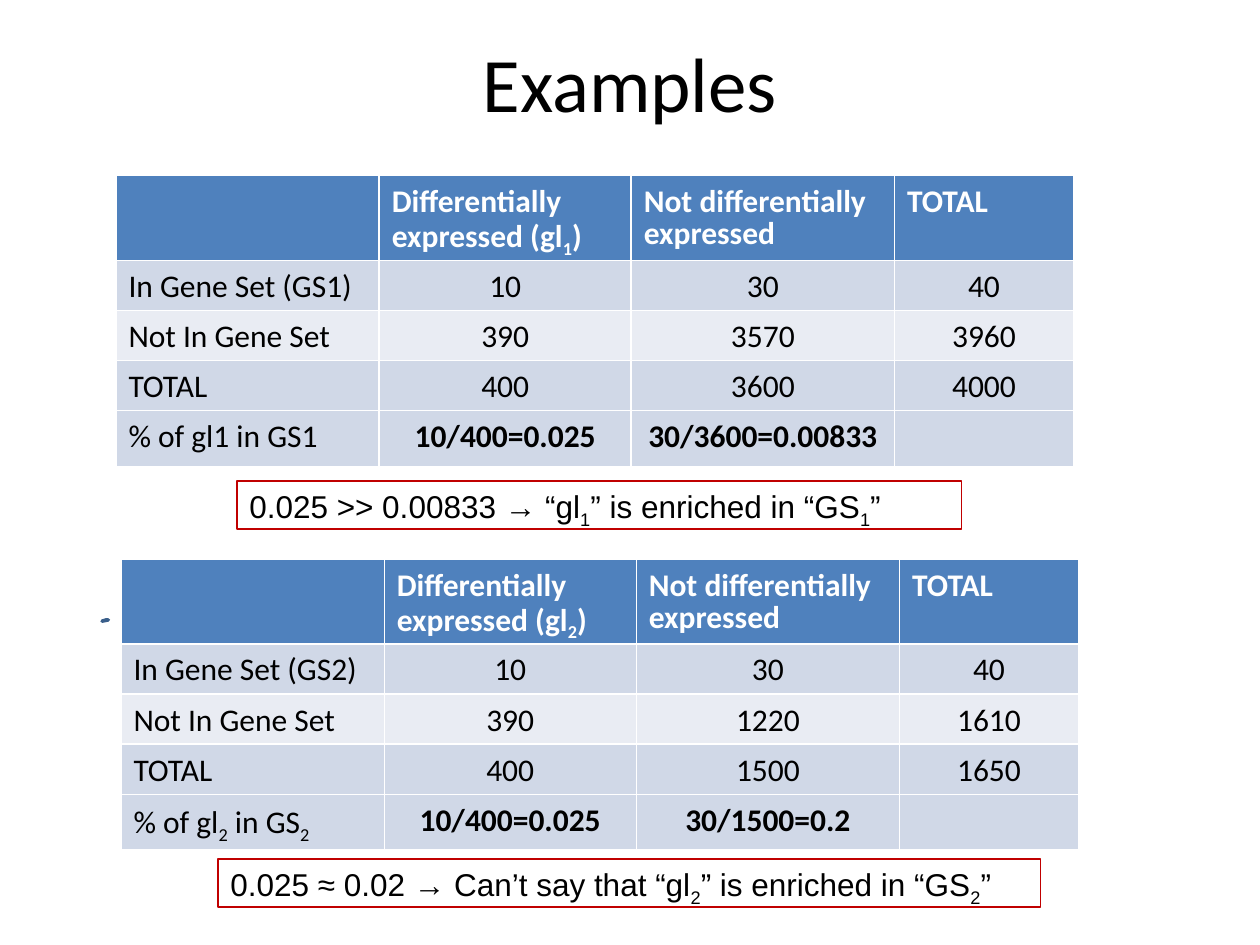
"""Build a slide with two gene set enrichment examples."""
from dataclasses import dataclass

from lxml import etree
from pptx import Presentation
from pptx.dml.color import RGBColor
from pptx.enum.shapes import MSO_SHAPE
from pptx.enum.text import MSO_ANCHOR, MSO_AUTO_SIZE, PP_ALIGN
from pptx.oxml.ns import qn
from pptx.util import Inches, Pt

RECTANGLE = MSO_SHAPE.RECTANGLE
TOP, MIDDLE = MSO_ANCHOR.TOP, MSO_ANCHOR.MIDDLE
LEFT, CENTER = PP_ALIGN.LEFT, PP_ALIGN.CENTER
FIT_SHAPE = MSO_AUTO_SIZE.SHAPE_TO_FIT_TEXT
SLIDE_WIDTH, SLIDE_HEIGHT = Inches(10), Inches(7.5)
COLUMN_SHARES = (20.9, 20, 20.9, 14.2)
ROW_SHARES = (8.9, 5.3, 5.3, 5.3, 5.9)
SUBSCRIPT_MARK = "~"


@dataclass(frozen=True)
class Theme:
    """Colours, fonts and type sizes of the slide."""
    header: str = "4F81BD"
    band: str = "D0D8E7"
    light_band: str = "E9ECF3"
    white: str = "FFFFFF"
    black: str = "000000"
    callout: str = "C00000"
    ink: str = "3A5F8B"
    heading_font: str = "Calibri"
    callout_font: str = "Arial"
    title_size: int = 44
    body_size: int = 18
    border: float = 0.96


THEME = Theme()


@dataclass(frozen=True)
class Area:
    """A rectangle in percent of the slide's width and height."""
    left: float
    top: float
    width: float
    height: float

    def lengths(self) -> tuple:
        """Return left, top, width and height as slide lengths."""
        return (across(self.left), down(self.top),
                across(self.width), down(self.height))


@dataclass(frozen=True)
class Example:
    """A contingency table with the conclusion drawn from it."""
    left: float
    top: float
    rows: tuple
    conclusion: str
    conclusion_area: Area


def across(share: float) -> int:
    """Turn a percentage of the slide's width into a length."""
    return int(SLIDE_WIDTH * share / 100)


def down(share: float) -> int:
    """Turn a percentage of the slide's height into a length."""
    return int(SLIDE_HEIGHT * share / 100)


def write(paragraph, marked_text: str, font: str, size: int,
          color: str = THEME.black, bold: bool = False) -> None:
    """Write text whose parts between marks are subscripts."""
    for index, part in enumerate(marked_text.split(SUBSCRIPT_MARK)):
        if not part:
            continue
        run = paragraph.add_run()
        run.text = part
        run.font.name = font
        run.font.size = Pt(size)
        run.font.bold = bold
        run.font.color.rgb = RGBColor.from_string(color)
        if index % 2:
            run.font._element.set("baseline", "-25000")


def add_borders(cell) -> None:
    """Draw white lines on all four sides of a cell."""
    properties = cell._tc.get_or_add_tcPr()
    for index, side in enumerate(("lnL", "lnR", "lnT", "lnB")):
        line = etree.Element(qn(f"a:{side}"), w=str(Pt(THEME.border)))
        fill = etree.SubElement(line, qn("a:solidFill"))
        etree.SubElement(fill, qn("a:srgbClr"), val=THEME.white)
        properties.insert(index, line)


def fill_cell(cell, text: str, row: int, column: int) -> None:
    """Style a cell by its place in the table and write its text."""
    is_header = row == 0
    is_ratio = row == len(ROW_SHARES) - 1 and column > 0
    background = (THEME.header if is_header
                  else THEME.light_band if row == 2 else THEME.band)
    cell.fill.solid()
    cell.fill.fore_color.rgb = RGBColor.from_string(background)
    add_borders(cell)
    cell.margin_left = cell.margin_right = Inches(0.1)
    cell.margin_top, cell.margin_bottom = Inches(0.09), Inches(0.05)
    paragraph = cell.text_frame.paragraphs[0]
    paragraph.alignment = LEFT if is_header or column == 0 else CENTER
    paragraph.line_spacing = 0.83
    write(paragraph, text, THEME.heading_font, THEME.body_size,
          THEME.white if is_header else THEME.black, is_header or is_ratio)


def add_counts(slide, example: Example) -> None:
    """Draw the contingency table of an example."""
    area = Area(example.left, example.top, sum(COLUMN_SHARES), sum(ROW_SHARES))
    table = slide.shapes.add_table(
        len(ROW_SHARES), len(COLUMN_SHARES), *area.lengths()).table
    table.horz_banding = False
    for column, share in zip(table.columns, COLUMN_SHARES):
        column.width = across(share)
    for row, share in zip(table.rows, ROW_SHARES):
        row.height = down(share)
    for row, texts in enumerate(example.rows):
        for column, text in enumerate(texts):
            fill_cell(table.cell(row, column), text, row, column)


def add_conclusion(slide, example: Example) -> None:
    """Draw the outlined conclusion below a table."""
    callout = slide.shapes.add_shape(RECTANGLE, *example.conclusion_area.lengths())
    callout.shadow.inherit = False
    callout.fill.background()
    callout.line.color.rgb = RGBColor.from_string(THEME.callout)
    callout.line.width = Pt(0.75)
    frame = callout.text_frame
    frame.word_wrap = True
    frame.auto_size = FIT_SHAPE
    frame.vertical_anchor = TOP
    paragraph = frame.paragraphs[0]
    paragraph.alignment = LEFT
    paragraph.line_spacing = 0.93
    write(paragraph, example.conclusion, THEME.callout_font, THEME.body_size)


def add_title(slide, title: str, area: Area) -> None:
    """Write the centred slide title."""
    frame = slide.shapes.add_textbox(*area.lengths()).text_frame
    frame.word_wrap = True
    frame.vertical_anchor = MIDDLE
    frame.paragraphs[0].alignment = CENTER
    write(frame.paragraphs[0], title, THEME.heading_font, THEME.title_size)


def add_ink_mark(slide, points: tuple) -> None:
    """Draw the small pen stroke through points in percent of the slide."""
    start, *others = [(across(x), down(y)) for x, y in points]
    builder = slide.shapes.build_freeform(*start)
    builder.add_line_segments(others, close=True)
    stroke = builder.convert_to_shape()
    stroke.shadow.inherit = False
    stroke.fill.background()
    stroke.line.color.rgb = RGBColor.from_string(THEME.ink)
    stroke.line.width = Pt(2)


def header_row(gene_list: int) -> tuple:
    """Return the column headings for a numbered gene list."""
    return ("", f"Differentially expressed (gl~{gene_list}~)",
            "Not differentially expressed", "TOTAL")


EXAMPLES = (
    Example(9.2, 18.6, (
        header_row(1),
        ("In Gene Set (GS1)", "10", "30", "40"),
        ("Not In Gene Set", "390", "3570", "3960"),
        ("TOTAL", "400", "3600", "4000"),
        ("% of gl1 in GS1", "10/400=0.025", "30/3600=0.00833", ""),
    ), "0.025 >> 0.00833 → “gl~1~” is enriched in “GS~1~”",
        Area(18.8, 50.9, 57.5, 5.1)),
    Example(9.6, 59.2, (
        header_row(2),
        ("In Gene Set (GS2)", "10", "30", "40"),
        ("Not In Gene Set", "390", "1220", "1610"),
        ("TOTAL", "400", "1500", "1650"),
        ("% of gl~2~ in GS~2~", "10/400=0.025", "30/1500=0.2", ""),
    ), "0.025 ≈ 0.02 → Can’t say that “gl~2~” is enriched in “GS~2~”",
        Area(17.3, 90.9, 65.3, 5.1)),
)


def main() -> None:
    """Build and save the slide."""
    presentation = Presentation()
    presentation.slide_width, presentation.slide_height = SLIDE_WIDTH, SLIDE_HEIGHT
    slide = presentation.slides.add_slide(presentation.slide_layouts[6])
    add_title(slide, "Examples", Area(5, 4, 90, 9.33))
    add_ink_mark(slide, ((8.1, 65.73), (8.6, 65.6), (8.4, 65.6)))
    for example in EXAMPLES:
        add_counts(slide, example)
        add_conclusion(slide, example)
    presentation.save("out.pptx")


if __name__ == "__main__":
    main()
